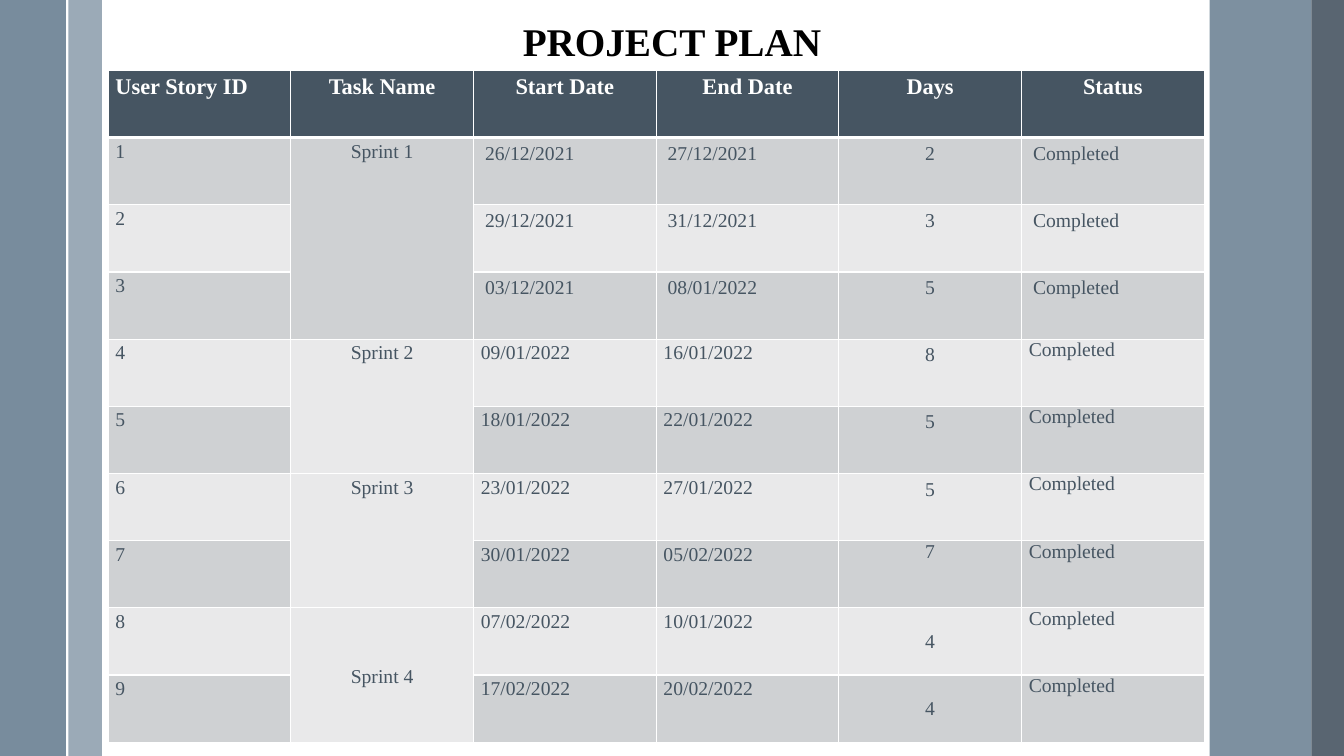
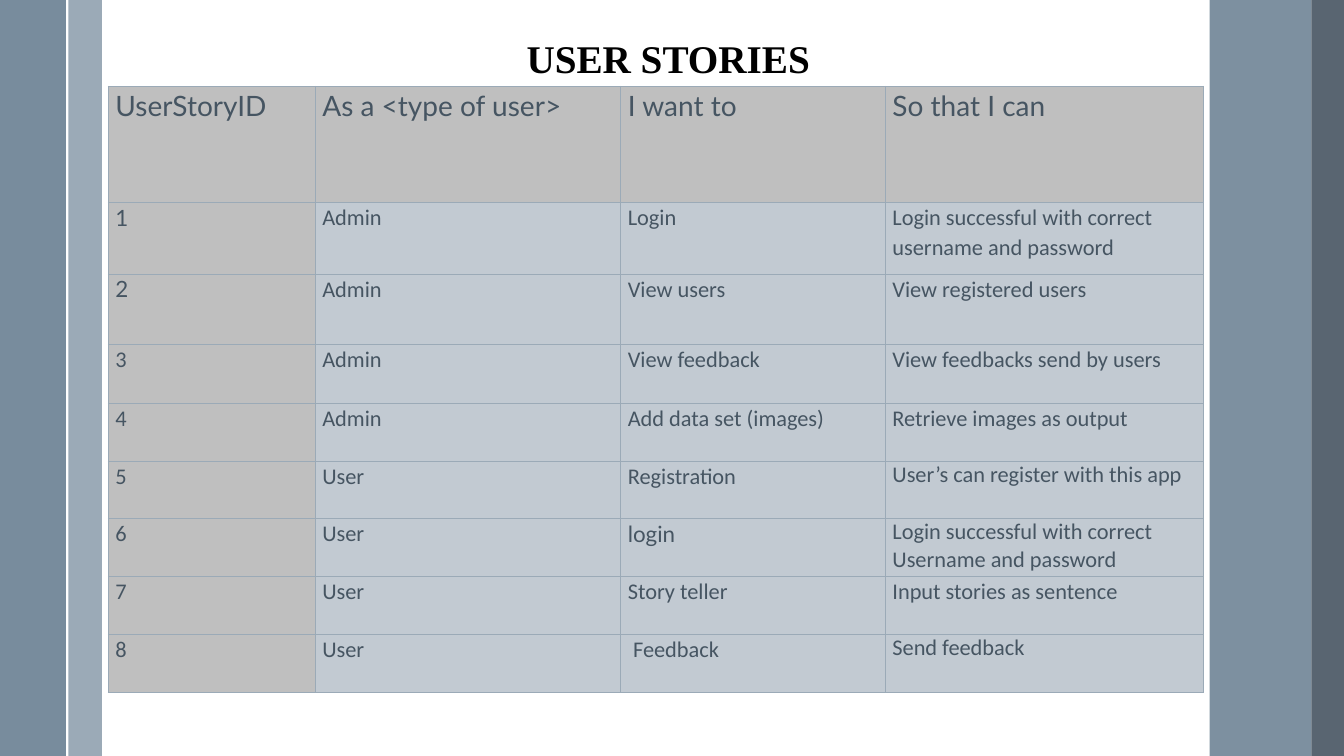
from lxml import etree
from pptx import Presentation
from pptx.dml.color import RGBColor
from pptx.enum.shapes import MSO_CONNECTOR as Wire, MSO_SHAPE as Shape
from pptx.enum.text import MSO_ANCHOR as Anchor, MSO_AUTO_SIZE as Fit, PP_ALIGN as Align
from pptx.oxml.ns import qn
from pptx.util import Emu, Pt

WIDE, HIGH = 1280, 720
LEFT = 103
SERIF, SANS, LATO = "Times New Roman", "Calibri", "Lato"
WHITE, BLACK, INK = "FFFFFF", "000000", "465562"
MIST, STEEL, SLATE = "9BAAB7", "6A8093", "475562"
DARK, LIGHT, GREY, HAZE = "CFD1D3", "E9E9EA", "BFBFBF", "C2CAD2"

# left, width, colour, opacity in percent
BANDS = [(65, 32, MIST, 100), (0, 64, STEEL, 90),
         (1152, 97, STEEL, 87), (1249, 31, SLATE, 90)]

PLAN_HEAD = ["User Story ID", "Task Name", "Start Date", "End Date", "Days", "Status"]
PLAN = [
    ("26/12/2021", "27/12/2021", 2), ("29/12/2021", "31/12/2021", 3),
    ("03/12/2021", "08/01/2022", 5), ("09/01/2022", "16/01/2022", 8),
    ("18/01/2022", "22/01/2022", 5), ("23/01/2022", "27/01/2022", 5),
    ("30/01/2022", "05/02/2022", 7), ("07/02/2022", "10/01/2022", 4),
    ("17/02/2022", "20/02/2022", 4),
]
SPRINTS = [(1, 3), (4, 5), (6, 7), (8, 9)]

STORY_HEAD = ["UserStoryID", "As a <type of user>", "I want to", "So that I can"]
STORIES = [
    ("Admin", "Login", "Login successful with correct username and password"),
    ("Admin", "View users", "View registered users"),
    ("Admin", "View feedback", "View feedbacks send by users"),
    ("Admin", "Add data set (images)", "Retrieve images as output"),
    ("User", "Registration", "User’s can register with this app"),
    ("User", "login", "Login successful with correct\nUsername and password"),
    ("User", "Story teller", "Input stories as sentence"),
    ("User", "Feedback", "Send feedback"),
]


def px(num):
    return Emu(num * 9525)


def rgb(code):
    return RGBColor.from_string(code)


def put(item, **vals):
    for key, val in vals.items():
        setattr(item, key, val)


def paint(fill, code, alpha=100):
    fill.solid()
    fill.fore_color.rgb = rgb(code)


def write(frame, text, color, face, para=None):
    """Fill a text frame, one paragraph per line of text."""
    frame.text = text
    for par in frame.paragraphs:
        put(par, **(para or {}))
        for run in par.runs:
            put(run.font, **face)
            run.font.color.rgb = rgb(color)


def band(slide, left, width, code, alpha):
    box = slide.shapes.add_shape(Shape.RECTANGLE, px(left), 0, px(width), px(HIGH))
    box.shadow.inherit = False
    box.line.fill.background()
    paint(box.fill, code)
    if alpha < 100:
        tint = box.fill._xPr.find(".//" + qn("a:srgbClr"))
        etree.SubElement(tint, qn("a:alpha"), val=str(alpha * 1000))


def rule(slide, left):
    line = slide.shapes.add_connector(Wire.STRAIGHT, px(left), 0, px(left), px(HIGH))
    line.line.color.rgb = rgb(WHITE)
    line.line.width = Pt(1.5)
    etree.SubElement(line._element.spPr, qn("a:effectLst"))


def title(slide, text, left, top, width, align):
    box = slide.shapes.add_textbox(px(left), px(top), px(width), px(55))
    put(box.text_frame, word_wrap=True, auto_size=Fit.SHAPE_TO_FIT_TEXT)
    face = dict(name=SERIF, size=Pt(28), bold=True)
    write(box.text_frame, text, BLACK, face, dict(alignment=align))


def page(deck, *head):
    """Add a slide with the shared bands and a title."""
    slide = deck.slides.add_slide(deck.slide_layouts[6])
    for item in BANDS:
        band(slide, *item)
    rule(slide, 64)
    title(slide, *head)
    return slide


def grid(slide, top, cols, rows):
    frame = slide.shapes.add_table(len(rows), len(cols), px(LEFT), px(top),
                                   px(sum(cols)), px(sum(rows)))
    table = frame.table
    put(table, first_row=False, horz_banding=False)
    for col, size in zip(table.columns, cols):
        col.width = px(size)
    for row, size in zip(table.rows, rows):
        row.height = px(size)
    return table


def edge(cell, code, width, **sides):
    """Draw the four borders; sides gives other widths by tag, such as lnB."""
    props = cell._tc.get_or_add_tcPr()
    for spot, tag in enumerate(("lnL", "lnR", "lnT", "lnB")):
        size = Pt(sides.get(tag, width))
        line = etree.Element(qn("a:" + tag), w=str(size))
        fill = etree.SubElement(line, qn("a:solidFill"))
        etree.SubElement(fill, qn("a:srgbClr"), val=code)
        props.insert(spot, line)


def pad(cell, side=7, top=0):
    put(cell, margin_left=px(side), margin_right=px(side),
        margin_top=px(top), margin_bottom=px(top))


def plan_look(row, col):
    """Give the padding, anchor and paragraph format of a plan cell."""
    inset, anchor, para = (7, 0), Anchor.TOP, {}
    if row and col > 1 and row < 4:
        inset = (11, 5)
    elif col == 4 and 4 <= row <= 6:
        inset = (10, 5)
    if row == 0 or col < 2 or (row > 3 and col < 4):
        para["line_spacing"] = 1.15
    if col in (1, 4) or (row == 0 and col):
        para["alignment"] = Align.CENTER
    if row > 7 and col in (1, 4):
        anchor = Anchor.MIDDLE
    return inset, anchor, para


def plan(deck):
    slide = page(deck, "PROJECT PLAN", 481, 12, 318, Align.CENTER)
    table = grid(slide, 67, [174] * 6, [64] * 10)
    tasks = {first: f"Sprint {num}" for num, (first, last) in enumerate(SPRINTS, 1)}
    data = [PLAN_HEAD]
    for num, (start, end, days) in enumerate(PLAN, 1):
        data.append([str(num), tasks.get(num, ""), start, end, str(days), "Completed"])
    for row, line in enumerate(data):
        head = row == 0
        face = dict(name=SERIF, size=Pt(16 if head else 14), bold=head)
        tone = INK if head else DARK if row % 2 else LIGHT
        for col, text in enumerate(line):
            cell = table.cell(row, col)
            inset, anchor, para = plan_look(row, col)
            pad(cell, *inset)
            cell.vertical_anchor = anchor
            write(cell.text_frame, text, WHITE if head else INK, face, para)
            paint(cell.fill, tone)
            thick = {0: dict(lnB=3), 1: dict(lnT=3)}.get(row, {})
            edge(cell, WHITE, 1, **thick)
    for first, last in SPRINTS:
        table.cell(first, 1).merge(table.cell(last, 1))


def stories(deck):
    slide = page(deck, "USER STORIES", 492, 28, 295, Align.LEFT)
    table = grid(slide, 82, [197, 291, 252, 303], [111, 68, 67, 56] + [55] * 5)
    data = [STORY_HEAD] + [(str(num), *line) for num, line in enumerate(STORIES, 1)]
    loose = dict(line_spacing=1.07, space_after=Pt(8))
    tight = {(5, 3), (6, 3), (8, 3)}
    lato = {(1, 0), (2, 0), (6, 2)}
    for row, line in enumerate(data):
        for col, text in enumerate(line):
            cell, spot = table.cell(row, col), (row, col)
            pad(cell)
            if text == "Feedback":
                cell.margin_left = px(12)
            face = dict(name=LATO if row == 0 or spot in lato else SANS,
                        size=Pt(16 if row else 20), bold=False)
            write(cell.text_frame, text, INK, face, {} if spot in tight else loose)
            paint(cell.fill, HAZE if row and col else GREY)
            edge(cell, MIST, 0.5)


def main():
    deck = Presentation()
    put(deck, slide_width=px(WIDE), slide_height=px(HIGH))
    plan(deck)
    stories(deck)
    deck.save("out.pptx")


if __name__ == "__main__":
    main()
